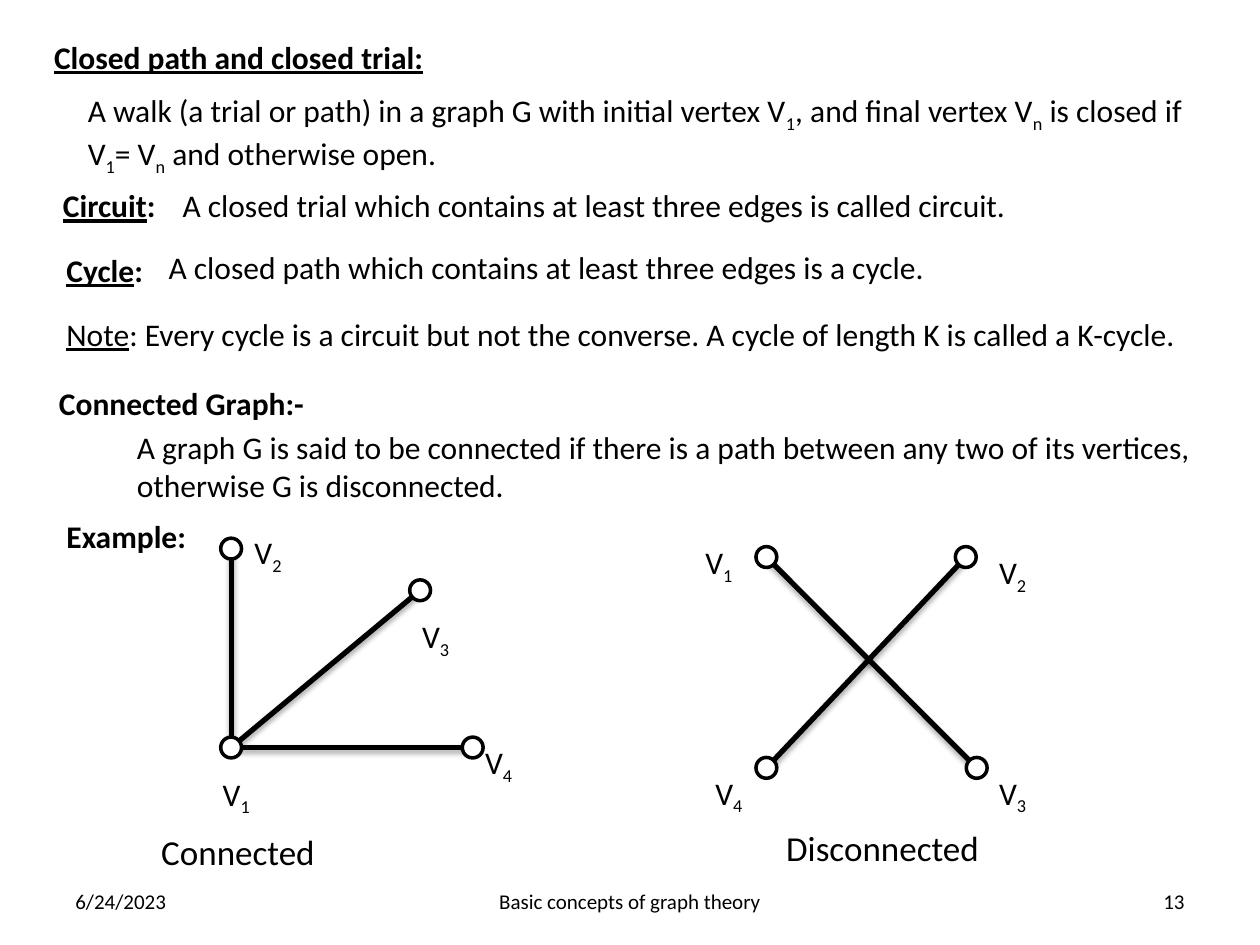
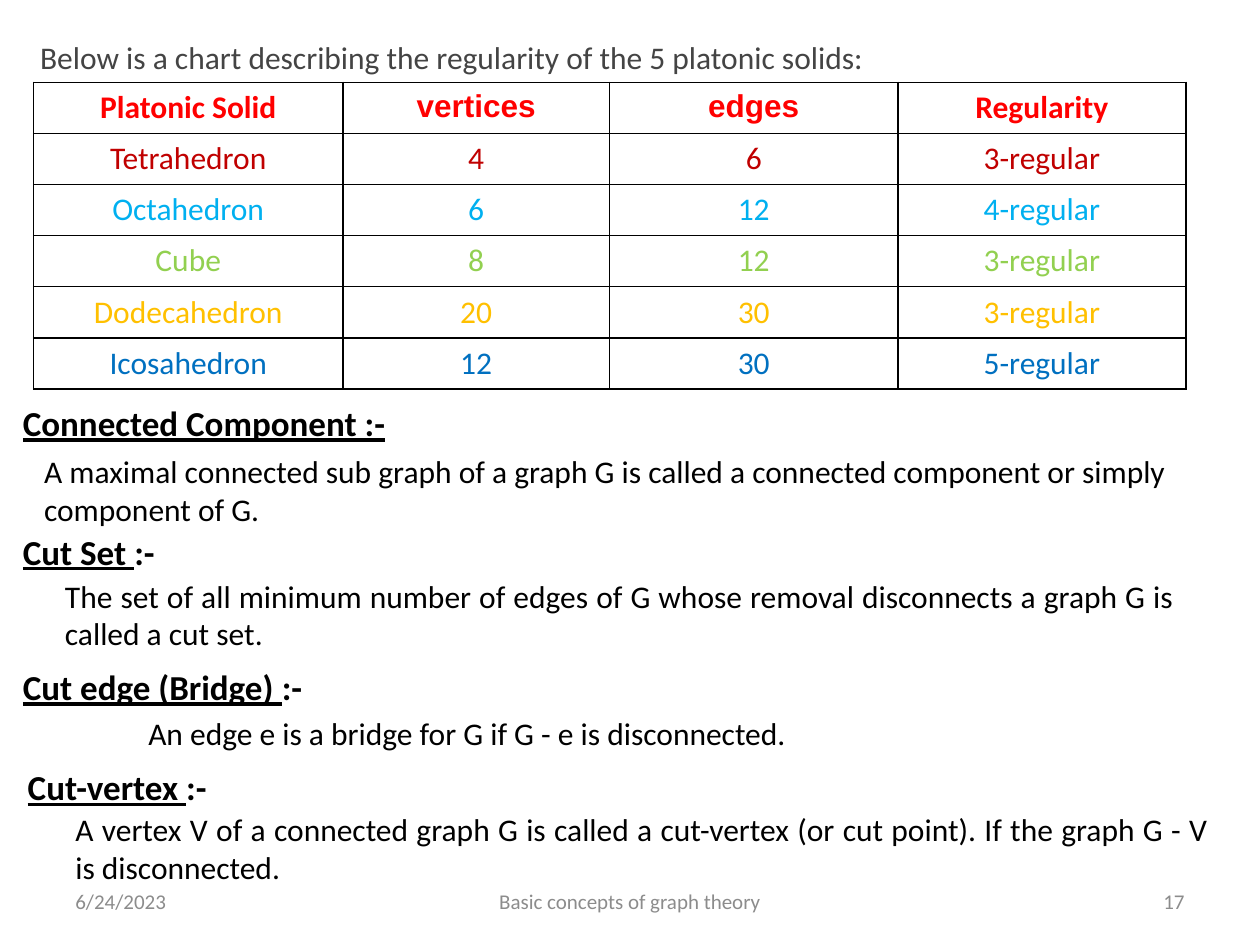
from lxml import etree
from pptx import Presentation
from pptx.dml.color import RGBColor
from pptx.enum import shapes, text
from pptx.oxml import ns
from pptx.util import Cm, Pt

BLACK = RGBColor(0x00, 0x00, 0x00)
WHITE = RGBColor(0xFF, 0xFF, 0xFF)
FOOTER_GREY = RGBColor(0x8C, 0x8C, 0x8C)
INTRO_GREY = RGBColor(0x44, 0x44, 0x44)
RED = RGBColor(0xFF, 0x00, 0x00)
DARK_RED = RGBColor(0xC0, 0x00, 0x00)
SKY = RGBColor(0x00, 0xB0, 0xF0)
GREEN = RGBColor(0x92, 0xD0, 0x50)
AMBER = RGBColor(0xFF, 0xC0, 0x00)
BLUE = RGBColor(0x00, 0x70, 0xC0)

LEFT, CENTER, RIGHT, JUSTIFY = (
    text.PP_ALIGN.LEFT, text.PP_ALIGN.CENTER, text.PP_ALIGN.RIGHT, text.PP_ALIGN.JUSTIFY)
LINE_H = 1.03
NODE_D = 0.42


def add_run(p, words, size=18, color=BLACK, bold=False, underline=False, font="Calibri"):
    r = p.add_run()
    r.text = words
    f = r.font
    f.name, f.size, f.bold, f.underline = font, Pt(size), bold, underline
    f.color.rgb = color
    return r


def add_text(parent, words, x, y, w, h=LINE_H, lead="", align=LEFT, wrap=True,
             grow=True, middle=False, **style):
    """Add a text box; lead is underlined first, and ~x~ makes x a subscript."""
    sp = parent.add_textbox(Cm(x), Cm(y), Cm(w), Cm(h))
    tf = sp.text_frame
    tf.word_wrap = wrap
    tf.auto_size = text.MSO_AUTO_SIZE.SHAPE_TO_FIT_TEXT if grow else text.MSO_AUTO_SIZE.NONE
    tf.vertical_anchor = text.MSO_ANCHOR.MIDDLE if middle else text.MSO_ANCHOR.TOP
    p = tf.paragraphs[0]
    p.alignment = align
    if lead:
        add_run(p, lead, underline=True, **style)
    for i, part in enumerate(words.split("~")):
        if part:
            r = add_run(p, part, **style)
            if i % 2:
                r.font._element.set("baseline", "-25000")


def add_heading(s, words, x, y, w, lead="", size=18):
    add_text(s.shapes, words, x, y, w, lead=lead, size=size, bold=True, wrap=False)


def add_footer(s, number, color):
    for words, x, w, align in (("6/24/2023", 1.27, 5.93, LEFT),
                               (number, 18.2, 5.93, RIGHT),
                               ("Basic concepts of graph theory", 8.68, 8.04, CENTER)):
        add_text(s.shapes, words, x, 17.65, w, align=align, size=12, color=color,
                 grow=False, middle=True)


def add_edge(parent, start, end):
    c = parent.add_connector(shapes.MSO_CONNECTOR.STRAIGHT, *map(Cm, start + end))
    c.line.color.rgb = BLACK
    c.line.width = Pt(3)
    effects = etree.SubElement(c._element.spPr, ns.qn("a:effectLst"))
    shadow = etree.SubElement(effects, ns.qn("a:outerShdw"), blurRad="40000",
                              dist="23000", dir="5400000", rotWithShape="0")
    black = etree.SubElement(shadow, ns.qn("a:srgbClr"), val="000000")
    etree.SubElement(black, ns.qn("a:alpha"), val="35000")


def add_node(parent, x, y):
    sp = parent.add_shape(shapes.MSO_SHAPE.FLOWCHART_CONNECTOR, Cm(x - NODE_D / 2),
                          Cm(y - NODE_D / 2), Cm(NODE_D), Cm(NODE_D))
    sp.shadow.inherit = False
    sp.fill.solid()
    sp.fill.fore_color.rgb = WHITE
    sp.line.color.rgb = BLACK
    sp.line.width = Pt(2)


def add_graph(s, nodes, edges, labels):
    """Draw a graph; nodes maps a vertex number to its centre, labels to its label corner."""
    parent = s.shapes.add_group_shape().shapes
    for a, b in edges:
        add_edge(parent, nodes[a], nodes[b])
    for centre in nodes.values():
        add_node(parent, *centre)
    for n, (x, y) in labels.items():
        add_text(parent, f"V~{n}~", x, y, 1.09, wrap=False)


def border_cell(cell):
    tc_pr = cell._tc.get_or_add_tcPr()
    for i, side in enumerate(("lnL", "lnR", "lnT", "lnB")):
        ln = etree.Element(ns.qn(f"a:{side}"), w=str(Pt(1)))
        fill = etree.SubElement(ln, ns.qn("a:solidFill"))
        etree.SubElement(fill, ns.qn("a:srgbClr"), val=str(BLACK))
        tc_pr.insert(i, ln)


def add_solids_table(s):
    header = ("Platonic Solid", "vertices", "edges", "Regularity")
    rows = (
        (RED, header),
        (DARK_RED, ("Tetrahedron", "4", "6", "3-regular")),
        (SKY, ("Octahedron", "6", "12", "4-regular")),
        (GREEN, ("Cube", "8", "12", "3-regular")),
        (AMBER, ("Dodecahedron", "20", "30", "3-regular")),
        (BLUE, ("Icosahedron", "12", "30", "5-regular")),
    )
    widths = (6.23, 5.38, 5.81, 5.81)
    table = s.shapes.add_table(len(rows), len(widths), Cm(0.68), Cm(1.66),
                               Cm(sum(widths)), Cm(LINE_H * len(rows))).table
    table.first_row = table.horz_banding = False
    for col, w in zip(table.columns, widths):
        col.width = Cm(w)
    for i, (color, values) in enumerate(rows):
        table.rows[i].height = Cm(LINE_H)
        for j, value in enumerate(values):
            cell = table.cell(i, j)
            cell.fill.background()
            border_cell(cell)
            p = cell.text_frame.paragraphs[0]
            p.alignment = CENTER
            add_run(p, value, color=color, bold=i == 0,
                    font="Arial" if value in ("vertices", "edges") else "Calibri")


def build_connected_graph(s):
    add_footer(s, "13", BLACK)
    add_heading(s, "", 0.84, 0.64, 8.03, lead="Closed path and closed trial:")
    add_text(s.shapes, "A walk (a trial or path) in a graph G with initial vertex V~1~, and "
             "final vertex V~n~ is closed if V~1~= V~n~ and otherwise open.",
             1.52, 1.72, 22.61, 1.8)
    add_heading(s, ":", 1.02, 3.63, 2.39, lead="Circuit")
    add_text(s.shapes, "A closed trial which contains at least three edges is called circuit.",
             3.43, 3.63, 19.58)
    add_heading(s, ":", 1.09, 4.93, 2.06, lead="Cycle")
    add_text(s.shapes, "A closed path which contains at least three edges is a cycle.",
             3.15, 4.88, 16.97)
    add_text(s.shapes, ": Every cycle is a circuit but not the converse. A cycle of length K "
             "is called a K-cycle.", 1.09, 6.22, 23.5, lead="Note")
    add_heading(s, "Connected Graph:-", 0.94, 7.62, 5.7)
    add_text(s.shapes, "A graph G is said to be connected if there is a path between any two "
             "of its vertices, otherwise G is disconnected.", 2.51, 8.51, 22.07, 1.8)
    add_heading(s, "Example:", 1.09, 10.29, 2.95)

    add_graph(s,
              nodes={2: (4.66, 11.06), 3: (8.47, 11.9), 4: (9.53, 15.07), 1: (4.66, 15.07)},
              edges=((1, 2), (1, 4), (1, 3)),
              labels={1: (4.24, 15.49), 4: (9.53, 14.86), 3: (8.26, 12.32), 2: (4.88, 10.62)})
    add_graph(s,
              nodes={1: (15.45, 11.23), 2: (19.47, 11.23), 4: (15.45, 15.48), 3: (19.69, 15.48)},
              edges=((1, 3), (2, 4)),
              labels={1: (13.97, 10.82), 2: (19.89, 11.02), 3: (19.89, 15.47), 4: (14.17, 15.47)})
    add_text(s.shapes, "Connected", 3, 16.61, 7.62, size=20)
    add_text(s.shapes, "Disconnected", 15.6, 16.54, 4.45, size=20, wrap=False)


def build_components_and_cuts(s):
    add_footer(s, "17", FOOTER_GREY)
    add_text(s.shapes, "Below is a chart describing the regularity of the 5 platonic solids:",
             0.56, 0.64, 17.32, color=INTRO_GREY, wrap=False, middle=True)
    add_solids_table(s)
    for lead, rest, x, y, w in (("Connected Component :-", "", 0.21, 7.97, 8.05),
                                ("Cut Set ", ":-", 0.21, 10.56, 3.35),
                                ("Cut edge (Bridge) ", ":-", 0.21, 13.29, 6.35),
                                ("Cut-vertex ", ":-", 0.31, 15.31, 4.34)):
        add_heading(s, rest, x, y, w, lead=lead, size=20)
    add_text(s.shapes, "A maximal connected sub graph of a graph G is called a connected "
             "component or simply component of G.", 0.64, 8.99, 24.13, 1.8)
    add_text(s.shapes, "The set of all minimum number of edges of G whose removal disconnects "
             "a graph G is called a cut set.", 1.06, 11.5, 22.86, 1.8, align=JUSTIFY)
    add_text(s.shapes, "An edge e is a bridge for G if G - e is disconnected.",
             2.74, 14.27, 18)
    add_text(s.shapes, "A vertex V of a connected graph G is called a cut-vertex (or cut "
             "point). If the graph G - V is disconnected.", 1.27, 16.2, 23.34, 1.8,
             align=JUSTIFY)


def main():
    prs = Presentation()
    prs.slide_width, prs.slide_height = Cm(25.4), Cm(19.05)
    for build in (build_connected_graph, build_components_and_cuts):
        build(prs.slides.add_slide(prs.slide_layouts[6]))
    prs.save("out.pptx")


if __name__ == "__main__":
    main()
